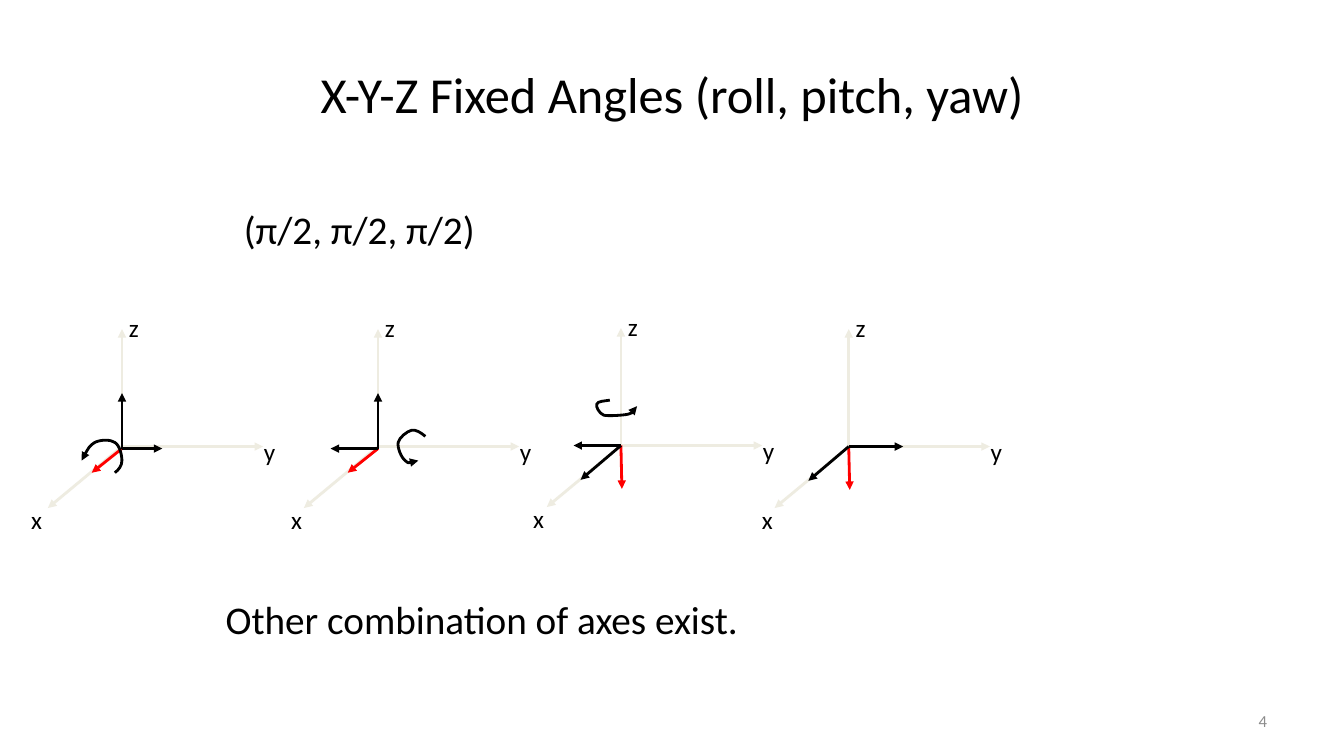
from lxml.etree import SubElement
from pptx import Presentation
from pptx.dml.color import RGBColor
from pptx.enum.shapes import MSO_CONNECTOR as Link
from pptx.enum.text import MSO_ANCHOR as Anchor, MSO_AUTO_SIZE as Fit, PP_ALIGN as Align
from pptx.oxml.ns import qn
from pptx.util import Inches, Pt

CELL = Inches(0.1)  # one column or row of the grid
COLS, ROWS = 133.33, 75
BLACK = RGBColor(0, 0, 0)
RED = RGBColor(255, 0, 0)
PALE = RGBColor(0xEE, 0xEC, 0xE1)
GRAY = RGBColor(0x8C, 0x8C, 0x8C)

AXES = [(14, 0), (0, -11.65), (-7.35, 6.1)]
UP, DOWN, LEFT = (0, -5.5), (0.1, 4.3), (-4.7, 0)
NEAR, FRONT = (-3, 2.4), (-4, 3.4)

# Each frame: origin, column of the x label, drop of the body's start,
# its red arrow, its black arrows, and the Bezier points of the next turn.
FRAMES = [
    ((12.1, 44.3), -10, 0.2, NEAR, [UP, (4, 0)],
     [(-0.7, 2.6), (-0.3, 2.3), (0, 1.9), (0, 1.4), (0, 0.9), (-0.2, -0.1),
      (-0.7, -0.4), (-1.1, -0.7), (-2.1, -0.7), (-2.7, -0.4),
      (-3.2, -0.1), (-3.6, 0.6), (-4, 1.4)]),
    ((37.5, 44.3), -9.6, 0.2, NEAR, [UP, LEFT],
     [(4.7, -1), (4.2, -1.4), (3.8, -1.7), (3.3, -1.6), (2.9, -1.5),
      (2.1, -0.9), (2, -0.4), (1.9, 0.1), (2.3, 1.1), (2.7, 1.4),
      (3, 1.7), (3.5, 1.6), (4, 1.4)]),
    ((61.6, 44.2), -9.7, 0, DOWN, [LEFT, FRONT],
     [(-1.1, -4.5), (-1.7, -4.4), (-2.3, -4.4), (-2.4, -4.1), (-2.5, -3.9),
      (-2.2, -3.2), (-1.7, -3), (-1.2, -2.9), (0.2, -3), (0.7, -3.1),
      (1.3, -3.3), (1.4, -3.6), (1.6, -3.9)]),
    ((84.2, 44.3), -9.6, 0, DOWN, [(5.4, 0), FRONT], []),
]


def grid(*cells):
    return [round(n * CELL) for n in cells]


def shift(start, step):
    return start[0] + step[0], start[1] + step[1]


def style(item, **form):
    for name, value in form.items():
        setattr(item, name, value)


def write(frame, text, size, color=BLACK, align=Align.LEFT, **form):
    style(frame, **form)
    para = frame.paragraphs[0]
    para.text = text
    para.alignment = align
    style(para.font, name="Calibri", size=Pt(size))
    para.font.color.rgb = color


def label(slide, text, box, size, wrap=False, fit=Fit.SHAPE_TO_FIT_TEXT, **form):
    shape = slide.shapes.add_textbox(*grid(*box))
    write(shape.text_frame, text, size, word_wrap=wrap, auto_size=fit, **form)


def point(shape, color):
    """Give a line its colour, width and arrowhead, and no shadow."""
    shape.line.color.rgb = color
    shape.line.width = Pt(2)
    props = shape.element.spPr
    SubElement(props.get_or_add_ln(), qn("a:tailEnd"), type="triangle")
    SubElement(props, qn("a:effectLst"))


def arrow(slide, start, step, color):
    ends = grid(*start, *shift(start, step))
    point(slide.shapes.add_connector(Link.STRAIGHT, *ends), color)


def turn(slide, origin, steps):
    """Draw a curved arrow; every three points after the first make one Bezier."""
    first, *rest = [grid(*shift(origin, step)) for step in steps]
    pen = slide.shapes.build_freeform(*first)
    pen.add_line_segments(rest, close=False)
    shape = pen.convert_to_shape()
    track = shape.element.find(".//" + qn("a:path"))
    lines = track.findall(qn("a:lnTo"))
    for i in range(0, len(lines), 3):
        curve = SubElement(track, qn("a:cubicBezTo"))
        for line in lines[i:i + 3]:
            curve.append(line[0])
            track.remove(line)
    shape.fill.background()
    point(shape, BLACK)


def draw(slide, origin, left, drop, red, blacks, steps):
    for axis in AXES:
        arrow(slide, origin, axis, PALE)
    for text, step, wide in [("x", (left, 5.2), 3.1), ("y", (13.1, -1.5), 3.3),
                             ("z", (-0.3, -13.8), 3)]:
        label(slide, text, (*shift(origin, step), wide, 4), 18)
    start = shift(origin, (0, drop))
    arrow(slide, start, red, RED)
    for black in blacks:
        arrow(slide, start, black, BLACK)
    if steps:
        turn(slide, origin, steps)


def main():
    deck = Presentation()
    deck.slide_width, deck.slide_height = grid(COLS, ROWS)
    slide = deck.slides.add_slide(deck.slide_layouts[5])
    title = slide.shapes.title
    style(title, **dict(zip(("left", "top", "width", "height"),
                            grid(6.7, 3, 120, 12.5))))
    write(title.text_frame, "X-Y-Z Fixed Angles (roll, pitch, yaw)", 36,
          align=Align.CENTER, vertical_anchor=Anchor.MIDDLE)
    label(slide, "(π/2, π/2, π/2)", (23.2, 19.9, 32.5, 5.7), 28, wrap=True)
    for frame in FRAMES:
        draw(slide, *frame)
    label(slide, "Other combination of axes exist.", (21.4, 58.6, 53.4, 5.7), 28)
    label(slide, "4", (95.6, 69.5, 31.1, 4), 12, wrap=True, fit=Fit.NONE,
          color=GRAY, align=Align.RIGHT, vertical_anchor=Anchor.MIDDLE)
    deck.save("out.pptx")


if __name__ == "__main__":
    main()
